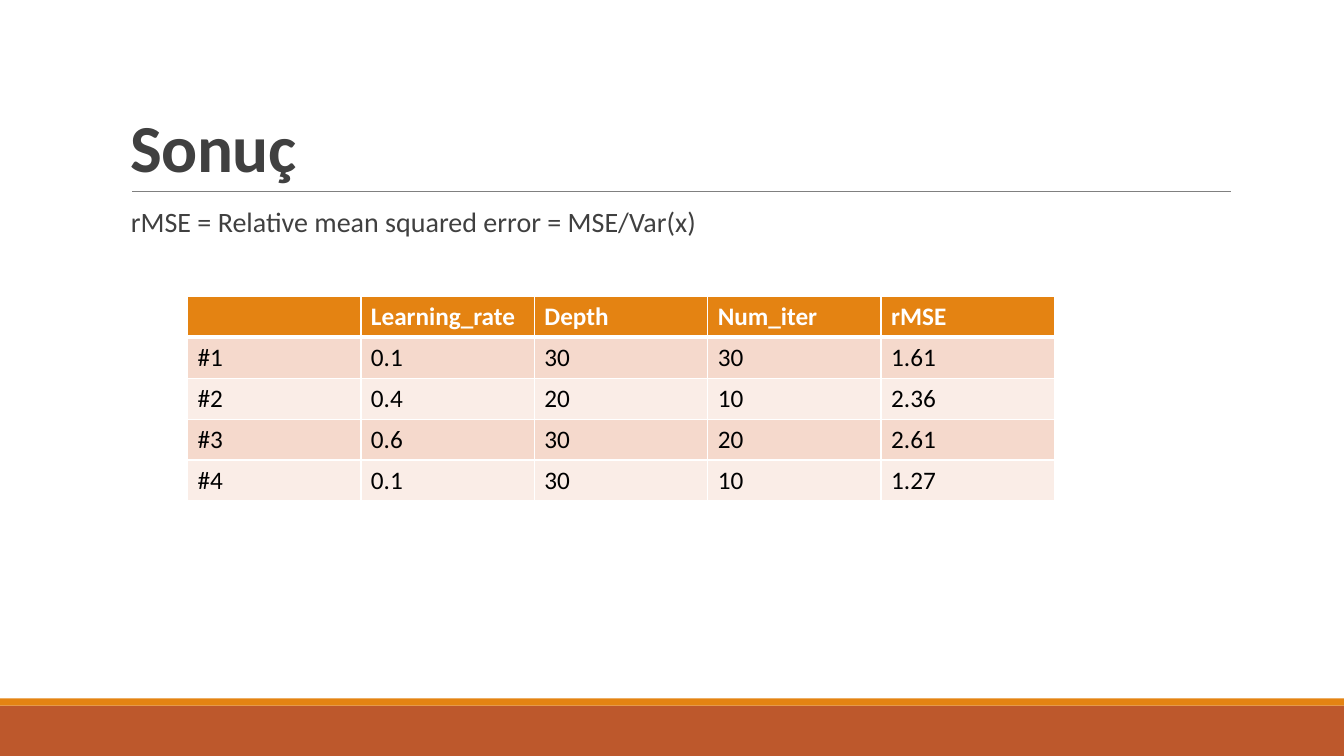
import pptx
import pptx.dml.color
import pptx.enum.shapes
import pptx.enum.text
import pptx.oxml
import pptx.oxml.ns
import pptx.util
from pptx.util import Inches

# Content
TITLE = "Sonuç"
DEFINITION = "rMSE = Relative mean squared error = MSE/Var(x)"
RESULTS = [
    ("", "Learning_rate", "Depth", "Num_iter", "rMSE"),
    ("#1", "0.1", "30", "30", "1.61"),
    ("#2", "0.4", "20", "10", "2.36"),
    ("#3", "0.6", "30", "20", "2.61"),
    ("#4", "0.1", "30", "10", "1.27"),
]

# Theme
THEME = {
    "font": "Calibri",
    "title_size": 48, "body_size": 20, "table_size": 18,
    "text": "404040", "rule": "808080", "white": "FFFFFF", "black": "000000",
    "accent": "E48312", "footer": "BD582C",
    "bands": ("F5D9CC", "FAEDE7"),
}

# Layout, in inches
PAGE_WIDTH, PAGE_HEIGHT = 13.33, 7.5
BANDS = [(7.0, 0.5, THEME["footer"]), (6.93, 0.07, THEME["accent"])]
RULE_LEFT, RULE_RIGHT, RULE_TOP = 1.31, 12.21, 1.9
TABLE_LEFT, TABLE_TOP, TABLE_WIDTH, TABLE_HEIGHT = 1.86, 2.94, 8.6, 2.03


def color(name):
    return pptx.dml.color.RGBColor.from_string(name)


def apply(target, formats):
    for name, value in formats.items():
        setattr(target, name, value)


def write(para, text, size, ink, bold=False):
    span = para.add_run()
    span.text = text
    apply(span.font, {"name": THEME["font"], "size": pptx.util.Pt(size), "bold": bold})
    span.font.color.rgb = color(ink)
    return span


def add_text_box(page, place, anchor, left_inset, para_formats):
    box = page.shapes.add_textbox(*map(Inches, place))
    apply(box.text_frame, {
        "word_wrap": True, "vertical_anchor": anchor, "margin_left": Inches(left_inset),
        "margin_right": Inches(0), "margin_top": Inches(0.05), "margin_bottom": Inches(0.05),
    })
    para = box.text_frame.paragraphs[0]
    apply(para, para_formats)
    return para


def set_borders(cell, widths):
    """Draw white borders; widths maps each side to points."""
    properties = cell._tc.get_or_add_tcPr()
    for position, (side, points) in enumerate(widths.items()):
        border = pptx.oxml.parse_xml(
            f'<a:{side} {pptx.oxml.ns.nsdecls("a")} w="{pptx.util.Pt(points)}">'
            f'<a:solidFill><a:srgbClr val="{THEME["white"]}"/></a:solidFill></a:{side}>')
        properties.insert(position, border)


def add_background(page):
    for top, height, fill in BANDS:
        band = page.shapes.add_shape(
            pptx.enum.shapes.MSO_SHAPE.RECTANGLE,
            Inches(0), Inches(top), Inches(PAGE_WIDTH), Inches(height))
        band.shadow.inherit = False
        band.fill.solid()
        band.fill.fore_color.rgb = color(fill)
        band.line.fill.background()
    rule = page.shapes.add_connector(
        pptx.enum.shapes.MSO_CONNECTOR.STRAIGHT,
        Inches(RULE_LEFT), Inches(RULE_TOP), Inches(RULE_RIGHT), Inches(RULE_TOP))
    rule.line.color.rgb = color(THEME["rule"])
    rule.line.width = pptx.util.Pt(0.5)
    rule._element.spPr.append(
        pptx.oxml.parse_xml(f'<a:effectLst {pptx.oxml.ns.nsdecls("a")}/>'))


def add_results(page):
    rows, columns = len(RESULTS), len(RESULTS[0])
    table = page.shapes.add_table(
        rows, columns, Inches(TABLE_LEFT), Inches(TABLE_TOP),
        Inches(TABLE_WIDTH), Inches(TABLE_HEIGHT)).table
    for r, values in enumerate(RESULTS):
        header = r == 0
        fill = THEME["accent"] if header else THEME["bands"][(r - 1) % 2]
        ink = THEME["white"] if header else THEME["black"]
        widths = {"lnL": 1, "lnR": 1, "lnT": 3 if r == 1 else 1, "lnB": 3 if header else 1}
        for c, value in enumerate(values):
            cell = table.cell(r, c)
            cell.fill.solid()
            cell.fill.fore_color.rgb = color(fill)
            set_borders(cell, widths)
            if value:
                write(cell.text_frame.paragraphs[0], value, THEME["table_size"], ink, header)


def main():
    deck = pptx.Presentation()
    apply(deck, {"slide_width": Inches(PAGE_WIDTH), "slide_height": Inches(PAGE_HEIGHT)})
    page = deck.slides.add_slide(deck.slide_layouts[6])

    # Footer bands and title rule
    add_background(page)

    # Title with slightly tightened letters
    anchors = pptx.enum.text.MSO_ANCHOR
    para = add_text_box(page, (1.2, 0.31, 11, 1.59), anchors.BOTTOM, 0.1,
                        {"line_spacing": 0.85})
    span = write(para, TITLE, THEME["title_size"], THEME["text"], True)
    span.font._element.set("spc", "-50")

    # Definition of the measure
    para = add_text_box(page, (1.2, 2.02, 11, 4.4), anchors.TOP, 0.1, {
        "line_spacing": 0.9, "space_before": pptx.util.Pt(12), "space_after": pptx.util.Pt(2)})
    write(para, DEFINITION, THEME["body_size"], THEME["text"])

    # Results table
    add_results(page)
    deck.save("out.pptx")


if __name__ == "__main__":
    main()
